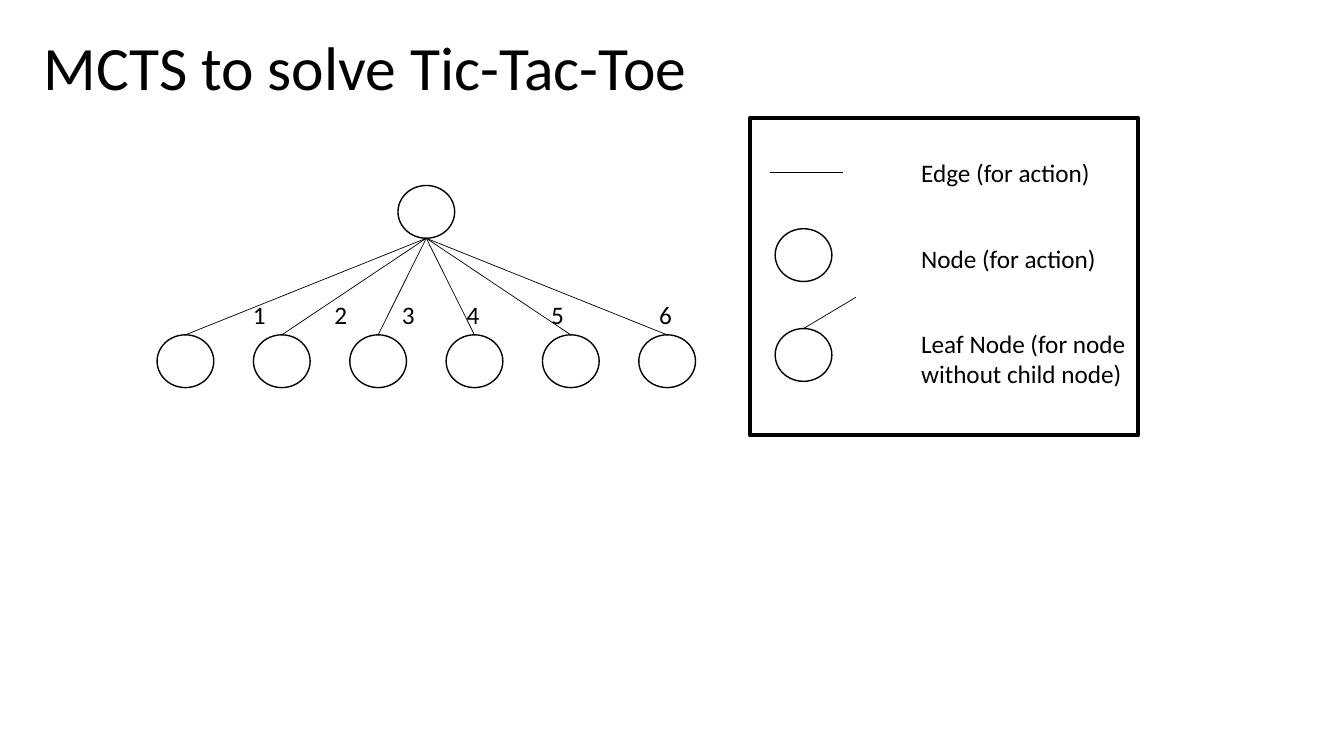
import pptx
import pptx.util
import pptx.dml.color
import pptx.enum.shapes
import pptx.enum.text
import pptx.oxml.ns
import lxml.etree

Pt = pptx.util.Pt
INK, PAPER, FONT = "000000", "FFFFFF", "Calibri"
NODE_WIDTH, NODE_HEIGHT = 40.5, 37.7


def color(hex_string):
    """Return the RGB colour of a hex string."""
    return pptx.dml.color.RGBColor.from_string(hex_string)


def add_label(slide, text, left, top, width, height, size=18):
    """Place a wrapped text box and return its text frame."""
    frame = slide.shapes.add_textbox(Pt(left), Pt(top), Pt(width), Pt(height)).text_frame
    frame.word_wrap = True
    label = frame.paragraphs[0]
    label.text = text
    label.font.name = FONT
    label.font.size = Pt(size)
    label.font.color.rgb = color(INK)
    return frame


def add_outline(slide, preset, left, top, width, height, weight):
    """Place an unfilled preset shape with an ink outline."""
    outline = slide.shapes.add_shape(preset, Pt(left), Pt(top), Pt(width), Pt(height))
    outline.shadow.inherit = False
    outline.fill.background()
    outline.line.color.rgb = color(INK)
    outline.line.width = Pt(weight)
    return outline


def add_node(slide, left, top):
    """Place one tree node."""
    node = add_outline(slide, pptx.enum.shapes.MSO_SHAPE.OVAL, left, top, NODE_WIDTH, NODE_HEIGHT, 1)
    node.fill.solid()
    node.fill.fore_color.rgb = color(PAPER)
    return node


def add_edge(slide, x1, y1, x2, y2):
    """Draw one thin tree edge."""
    edge = slide.shapes.add_connector(
        pptx.enum.shapes.MSO_CONNECTOR.STRAIGHT, Pt(x1), Pt(y1), Pt(x2), Pt(y2))
    edge.line.color.rgb = color(INK)
    edge.line.width = Pt(0.5)
    lxml.etree.SubElement(edge._element.spPr, pptx.oxml.ns.qn("a:effectLst"))
    return edge


def add_title(slide, left, top, width, height):
    """Place the slide title."""
    frame = add_label(slide, "MCTS to solve Tic-Tac-Toe", left, top, width, height, 44)
    frame.vertical_anchor = pptx.enum.text.MSO_ANCHOR.MIDDLE
    frame.paragraphs[0].line_spacing = 0.9


def add_tree(slide, left, top, width, height):
    """Draw a root above an even row of children with numbered edges."""
    action_offsets = [61.3, 119.6, 167.8, 214, 274.4, 351.5]
    root_x = left + width / 2
    child_top = top + height - NODE_HEIGHT
    step = (width - NODE_WIDTH) / (len(action_offsets) - 1)
    add_node(slide, root_x - NODE_WIDTH / 2, top)
    for index, offset in enumerate(action_offsets):
        child_left = left + index * step
        child = add_node(slide, child_left, child_top)
        edge = add_edge(slide, child_left + NODE_WIDTH / 2, child_top, root_x, top + NODE_HEIGHT)
        edge.begin_connect(child, 0)
        add_label(slide, str(index + 1), left + offset, top + 77.7, 36.7, 29)


def add_legend(slide, left, top, width, height):
    """Draw the framed key to edges, nodes and leaf nodes."""
    entries = [("Edge (for action)", 143.3, 29), ("Node (for action)", 143.3, 29),
               ("Leaf Node (for node without child node)", 177.8, 51)]
    node_left = left + 18
    leaf_top = top + 150.5
    add_edge(slide, left + 66.2, top + 38.9, left + 14.4, top + 38.9)
    add_node(slide, node_left, top + 79.2)
    leaf = add_node(slide, node_left, leaf_top)
    stub = add_edge(slide, node_left + NODE_WIDTH / 2, leaf_top, left + 75.6, top + 128.2)
    stub.begin_connect(leaf, 0)
    for row, (meaning, label_width, label_height) in enumerate(entries):
        add_label(slide, meaning, left + 115.2, top + 24.5 + row * 61.2, label_width, label_height)
    add_outline(slide, pptx.enum.shapes.MSO_SHAPE.RECTANGLE, left, top, width, height, 3)


def main():
    """Build and save the slide."""
    deck = pptx.Presentation()
    deck.slide_width, deck.slide_height = Pt(960), Pt(540)
    slide = deck.slides.add_slide(deck.slide_layouts[6])
    add_title(slide, 24, -1.5, 828, 104.4)
    add_tree(slide, 112.2, 132.5, 384.6, 144.4)
    add_legend(slide, 535.7, 84.2, 277.2, 226.8)
    deck.save("out.pptx")


if __name__ == "__main__":
    main()
